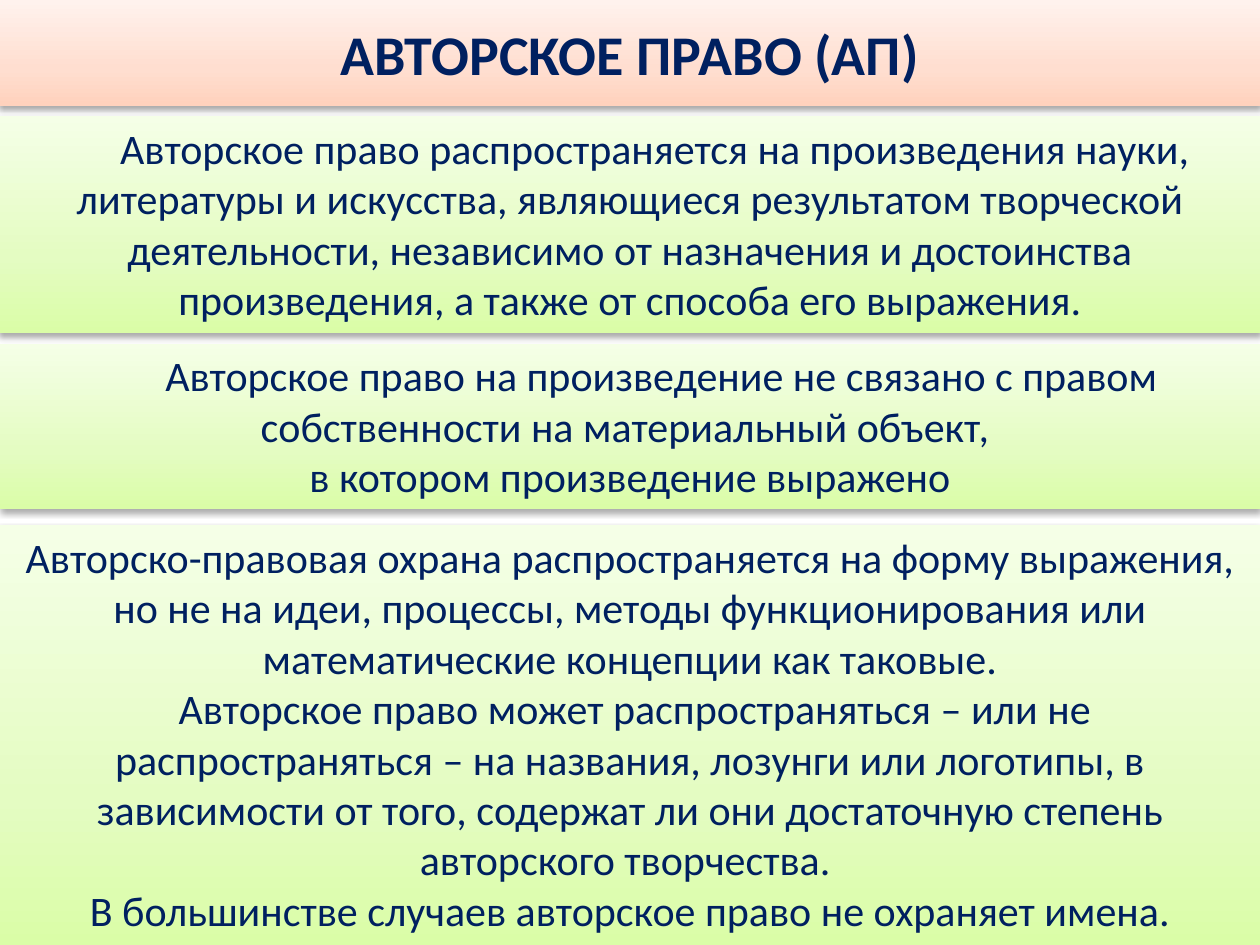
import pptx
import pptx.util
import pptx.dml.color
import pptx.enum.shapes
import pptx.enum.text
import pptx.oxml
import pptx.oxml.ns
from lxml import etree

Cm, Pt = pptx.util.Cm, pptx.util.Pt
RGBColor = pptx.dml.color.RGBColor
PP_ALIGN = pptx.enum.text.PP_ALIGN
MSO_ANCHOR = pptx.enum.text.MSO_ANCHOR
MSO_AUTO_SIZE = pptx.enum.text.MSO_AUTO_SIZE
qn = pptx.oxml.ns.qn

THEME = {
    "font": "Calibri",
    "ink": RGBColor.from_string("002060"),
    "title_size": Pt(32),
    "body_size": Pt(24),
    "peach": ((0, "FFD2BD"), (35, "FFDED0"), (100, "FFF2ED")),
    "lime": ((0, "DAFDA7"), (35, "E4FCC2"), (100, "F5FFE7")),
}
SHADOW = (
    f'<a:outerShdw {pptx.oxml.ns.nsdecls("a")} blurRad="44450" dist="27940" '
    'dir="5400000" algn="ctr" rotWithShape="0">'
    '<a:srgbClr val="000000"><a:alpha val="32000"/></a:srgbClr></a:outerShdw>'
)

title_frame = {"word_wrap": True, "vertical_anchor": MSO_ANCHOR.MIDDLE}
body_frame = {
    "word_wrap": True,
    "vertical_anchor": MSO_ANCHOR.TOP,
    "auto_size": MSO_AUTO_SIZE.SHAPE_TO_FIT_TEXT,
}
title_font = {"name": THEME["font"], "size": THEME["title_size"], "bold": True}
body_font = {"name": THEME["font"], "size": THEME["body_size"], "bold": False}

heading = ["АВТОРСКОЕ ПРАВО (АП)"]
scope = [
    "\tАвторское право распространяется на произведения науки, литературы и искусства, "
    "являющиеся результатом творческой деятельности, независимо от назначения и "
    "достоинства произведения, а также от способа его выражения."
]
ownership = [
    "\tАвторское право на произведение не связано с правом собственности на "
    "материальный объект, ",
    "в котором произведение выражено",
]
protection = [
    "Авторско-правовая охрана распространяется на форму выражения, но не на идеи, "
    "процессы, методы функционирования или математические концепции как таковые.",
    " Авторское право может распространяться – или не распространяться – на названия, "
    "лозунги или логотипы, в зависимости от того, содержат ли они достаточную степень "
    "авторского творчества. ",
    "В большинстве случаев авторское право не охраняет имена.",
]

bands = [
    (0, 2.13, "peach", title_frame, title_font, heading, None),
    (10.59, 8.46, "lime", body_frame, body_font, protection, None),
    (2.34, 4.37, "lime", body_frame, body_font, scope, Cm(1)),
    (6.93, 3.33, "lime", body_frame, body_font, ownership, None),
]

deck = pptx.Presentation()
deck.slide_width, deck.slide_height = Cm(25.4), Cm(19.05)
slide = deck.slides.add_slide(deck.slide_layouts[6])

for top, height, tint, frame_format, font_format, paragraphs, tab_stop in bands:
    band = slide.shapes.add_shape(
        pptx.enum.shapes.MSO_SHAPE.RECTANGLE, 0, Cm(top), deck.slide_width, Cm(height)
    )
    band.line.fill.background()
    band.fill.gradient()
    band.fill.gradient_angle = 90
    properties = band._element.spPr
    stops = properties.find(".//" + qn("a:gsLst"))
    stops.clear()
    for position, colour in THEME[tint]:
        stop = etree.SubElement(stops, qn("a:gs"), pos=str(position * 1000))
        etree.SubElement(stop, qn("a:srgbClr"), val=colour)
    band.shadow.inherit = False
    properties.find(qn("a:effectLst")).append(pptx.oxml.parse_xml(SHADOW))

    frame = band.text_frame
    for attribute, value in frame_format.items():
        setattr(frame, attribute, value)
    for index, wording in enumerate(paragraphs):
        paragraph = frame.add_paragraph() if index else frame.paragraphs[0]
        paragraph.alignment = PP_ALIGN.CENTER
        if tab_stop:
            tabs = etree.SubElement(paragraph._p.get_or_add_pPr(), qn("a:tabLst"))
            etree.SubElement(tabs, qn("a:tab"), pos=str(tab_stop), algn="l")
        run = paragraph.add_run()
        run.text = wording
        for attribute, value in font_format.items():
            setattr(run.font, attribute, value)
        run.font.color.rgb = THEME["ink"]

deck.save("out.pptx")
